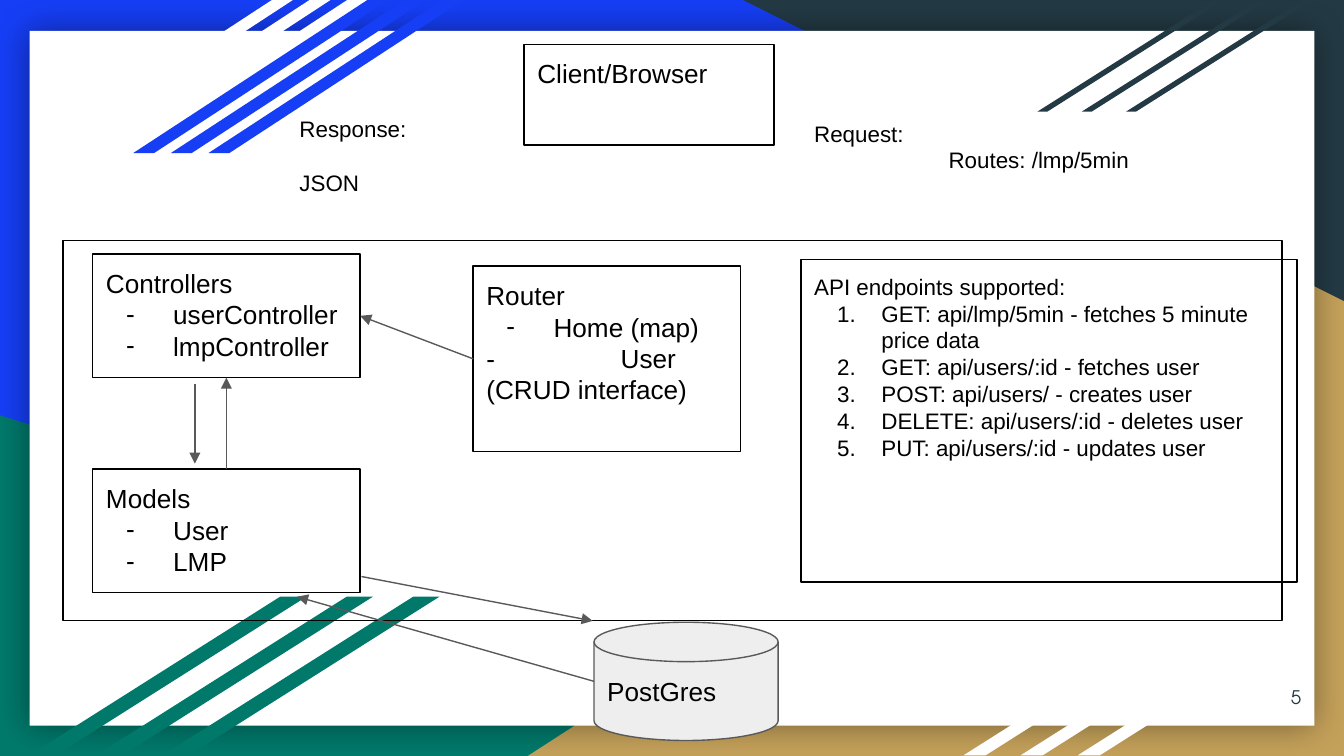
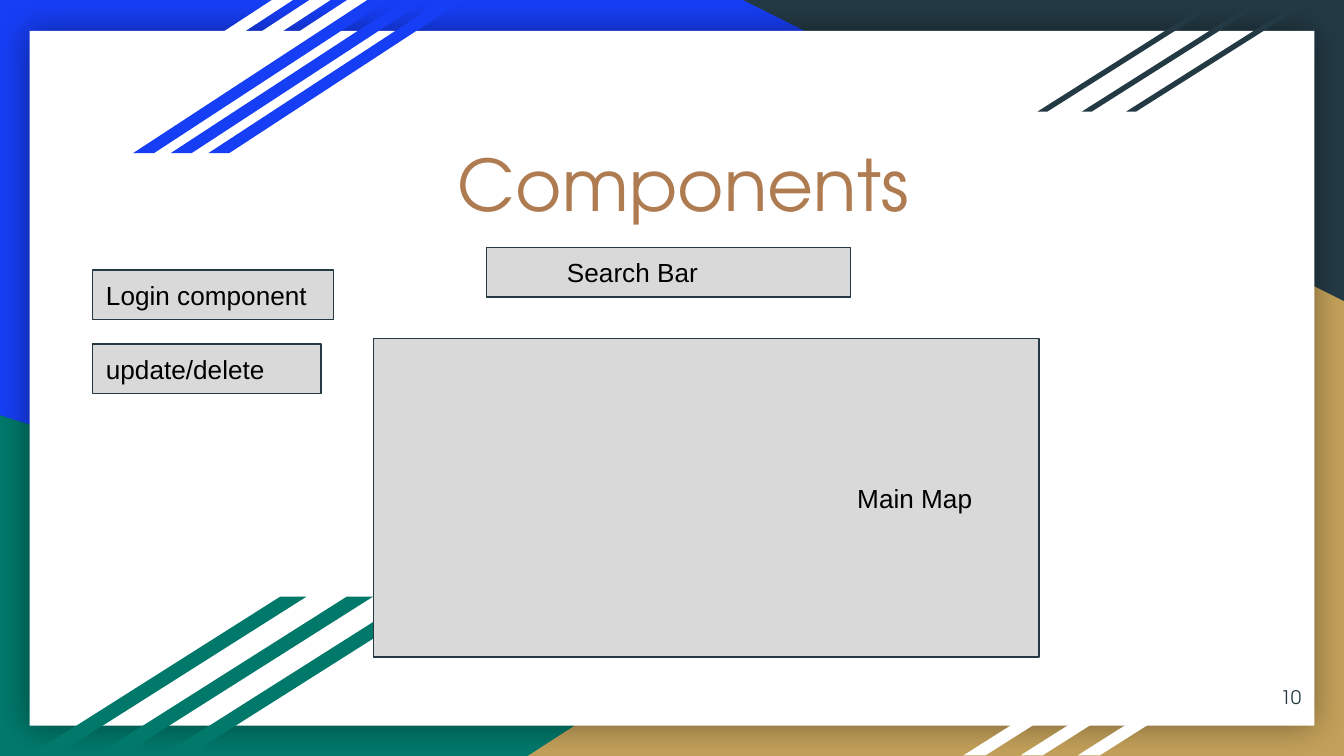
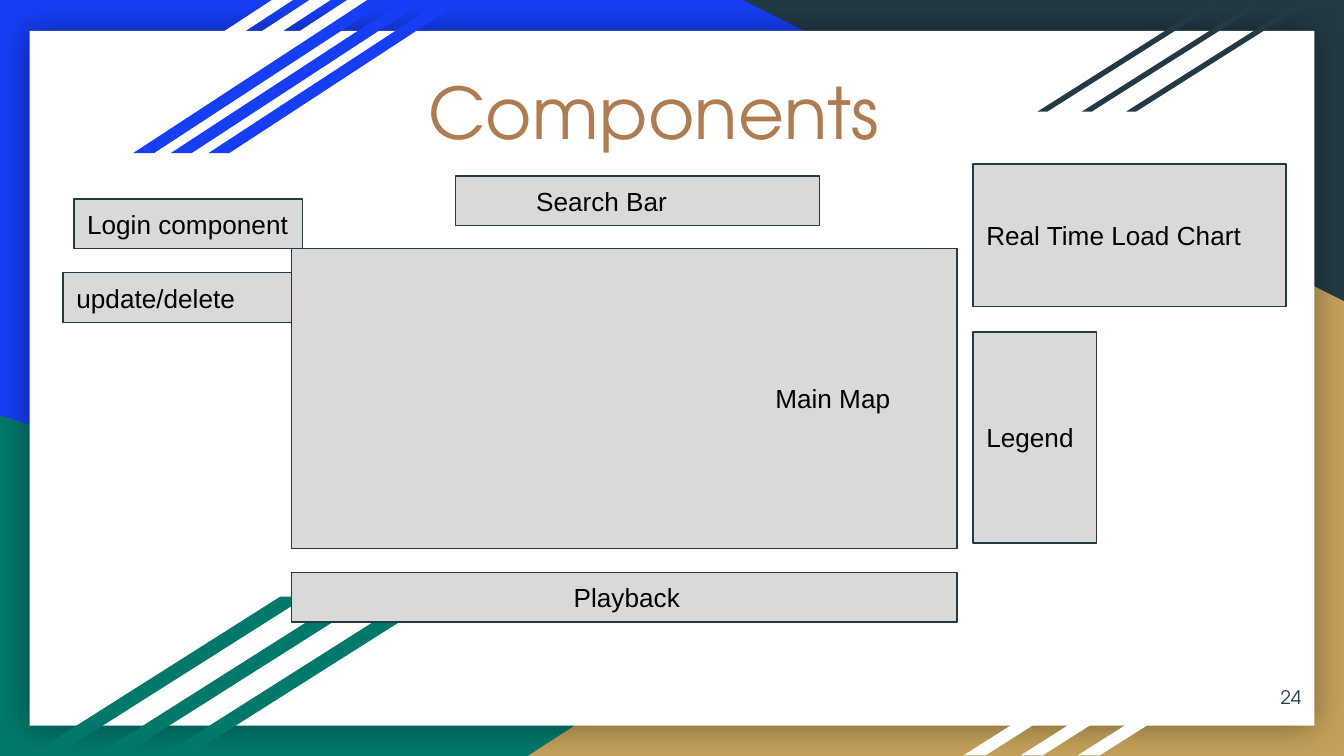
from lxml.etree import SubElement
from pptx import Presentation
from pptx.dml.color import RGBColor
from pptx.enum.shapes import MSO_CONNECTOR, MSO_SHAPE
from pptx.enum.text import MSO_ANCHOR, PP_ALIGN
from pptx.oxml.ns import qn
from pptx.util import Inches, Pt

COLORS = {
    "blue": "163EF5",
    "green": "00796B",
    "gold": "C4A15A",
    "slate": "233A44",
    "white": "FFFFFF",
    "black": "000000",
    "copper": "AF7B51",
    "panel": "D9D9D9",
    "disk": "EEEEEE",
    "gray": "595959",
}
BODY_FONT = "Arial"
TITLE_FONT = "TeX Gyre Adventor"


def draw_shape(page, kind, spot, fill=None, line=None):
    shape = page.shapes.add_shape(kind, *[Inches(value) for value in spot])
    shape.shadow.inherit = False
    if fill:
        shape.fill.solid()
        shape.fill.fore_color.rgb = RGBColor.from_string(COLORS[fill])
    else:
        shape.fill.background()
    if line:
        shape.line.color.rgb = RGBColor.from_string(COLORS[line])
        shape.line.width = Pt(0.75)
    else:
        shape.line.fill.background()
    return shape


def write(box, lines, size=14, color="black", font=BODY_FONT,
          align=PP_ALIGN.LEFT, anchor=MSO_ANCHOR.MIDDLE, left=0, first=0):
    frame = box.text_frame
    frame.word_wrap = True
    frame.vertical_anchor = anchor
    frame.margin_left = frame.margin_right = Inches(0.1)
    frame.margin_top = frame.margin_bottom = Inches(0.1)
    for index, line in enumerate(lines):
        text, bullet = line if isinstance(line, tuple) else (line, None)
        para = frame.paragraphs[0] if index == 0 else frame.add_paragraph()
        para.text = text
        para.alignment = align
        para.font.size = Pt(size)
        para.font.name = font
        para.font.color.rgb = RGBColor.from_string(COLORS[color])
        settings = para._p.get_or_add_pPr()
        settings.set("defTabSz", str(Inches(1)))
        settings.set("marL", str(Inches(0.5 if bullet else left)))
        hanging = -0.33 if bullet == "1." else -0.35
        settings.set("indent", str(Inches(hanging if bullet else first)))
        if bullet:
            tint = SubElement(settings, qn("a:buClr"))
            SubElement(tint, qn("a:srgbClr"), val=COLORS["black"])
            SubElement(settings, qn("a:buFont"), typeface=BODY_FONT)
            if bullet == "1.":
                SubElement(settings, qn("a:buAutoNum"), type="arabicPeriod")
            else:
                SubElement(settings, qn("a:buChar"), char=bullet)
            settings.append(settings.find(qn("a:defRPr")))


deck = Presentation()
deck.slide_width = Inches(10)
deck.slide_height = deck.slide_width * 9 // 16
layout = deck.slide_layouts[6]
pages = [deck.slides.add_slide(layout) for _ in range(3)]
architecture, basic, full = pages

layout.background.fill.solid()
layout.background.fill.fore_color.rgb = RGBColor.from_string(COLORS["blue"])
triangle = MSO_SHAPE.RIGHT_TRIANGLE
draw_shape(architecture, triangle, (0, 3.09, 8.06, 2.54), "green")
gold_corner = draw_shape(architecture, triangle, (3.92, 1.7, 6.08, 3.93), "gold")
gold_corner.element.spPr.find(qn("a:xfrm")).set("flipH", "1")
slate_corner = draw_shape(architecture, triangle, (5.53, 0, 4.47, 2.24), "slate")
slate_corner.rotation = 180

sheet = draw_shape(architecture, MSO_SHAPE.RECTANGLE, (0.22, 0.23, 9.56, 5.17), "white")
effects = sheet.element.spPr.find(qn("a:effectLst"))
glow = SubElement(effects, qn("a:outerShdw"), blurRad=str(Pt(18)), dist="0",
                  dir="0", algn="ctr", rotWithShape="0")
shade = SubElement(glow, qn("a:srgbClr"), val=COLORS["black"])
SubElement(shade, qn("a:alpha"), val="40000")

for left, top, width, height, spread, slant, color in [
    (0.28, 0, 1.9, 1.14, 0.56, 1.53, "white"),
    (0.99, 0, 1.9, 1.14, 0.56, 1.53, "blue"),
    (7.72, 0.01, 1.37, 0.82, 0.66, 1.58, "slate"),
    (7.17, 4.61, 1.76, 1.01, 0.85, 1.58, "white"),
    (0.22, 4.44, 2.06, 1.18, 0.99, 1.58, "green"),
]:
    for number in (2, 1, 0):
        stripe = draw_shape(architecture, MSO_SHAPE.PARALLELOGRAM,
                            (left + number * spread / 2, top, width, height), color)
        stripe.adjustments[0] = slant

for shape in list(architecture.shapes):
    layout.shapes.element.append(shape.element)

for page, number in zip(pages, ("5", "10", "24")):
    box = page.shapes.add_textbox(Inches(9.18), Inches(4.97), Inches(0.6), Inches(0.43))
    write(box, [number], 10, "slate", TITLE_FONT, PP_ALIGN.RIGHT)

for text, spot in [
    (["Request:", "\tRoutes: /lmp/5min"], (5.96, 0.79, 2.77, 0.69)),
    (["Response:", "\tJSON"], (2.13, 0.76, 1.45, 0.75)),
]:
    box = architecture.shapes.add_textbox(*[Inches(value) for value in spot])
    write(box, text, 12, anchor=MSO_ANCHOR.TOP)

draw_shape(architecture, MSO_SHAPE.RECTANGLE, (0.47, 1.79, 9.07, 2.83), line="black")
endpoints = [
    "GET: api/lmp/5min - fetches 5 minute price data",
    "GET: api/users/:id - fetches user",
    "POST: api/users/ - creates user",
    "DELETE: api/users/:id - deletes user",
    "PUT: api/users/:id - updates user",
]
parts = {}
for name, spot, size, details in [
    ("Client/Browser", (3.9, 0.33, 1.86, 0.75), 14, []),
    ("Models", (0.69, 3.49, 1.99, 0.92), 14, [("User", "-"), ("LMP", "-")]),
    ("API endpoints supported:", (5.96, 1.93, 3.69, 2.4), 12,
     [(endpoint, "1.") for endpoint in endpoints]),
    ("Controllers", (0.69, 1.89, 1.99, 0.92), 14,
     [("userController", "-"), ("lmpController", "-")]),
    ("Router", (3.52, 1.98, 1.99, 1.38), 14,
     [("Home (map)", "-"), "-\tUser (CRUD interface)"]),
]:
    parts[name] = draw_shape(architecture, MSO_SHAPE.RECTANGLE, spot, line="black")
    write(parts[name], [name] + details, size, anchor=MSO_ANCHOR.TOP)

database = draw_shape(architecture, MSO_SHAPE.FLOWCHART_MAGNETIC_DISK,
                      (4.42, 4.63, 1.37, 0.88), "disk", "gray")
write(database, ["PostGres"])

for ends, source, target in [
    ((2.69, 4.29, 4.41, 4.62), None, None),
    ((4.42, 5.07, 2.21, 4.44), None, None),
    ((3.52, 2.67, 2.68, 2.35), ("Router", 1), ("Controllers", 3)),
    ((1.45, 2.86, 1.45, 3.45), None, None),
    ((1.69, 3.49, 1.69, 2.81), ("Models", 0), ("Controllers", 2)),
]:
    arrow = architecture.shapes.add_connector(
        MSO_CONNECTOR.STRAIGHT, *[Inches(value) for value in ends])
    if source:
        arrow.begin_connect(parts[source[0]], source[1])
        arrow.end_connect(parts[target[0]], target[1])
    arrow.line.color.rgb = RGBColor.from_string(COLORS["gray"])
    arrow.line.width = Pt(0.75)
    SubElement(arrow.line._get_or_add_ln(), qn("a:tailEnd"), type="triangle")
    SubElement(arrow.element.spPr, qn("a:effectLst"))

for page, left, top in [(basic, 2.29, 0.88), (full, 2.07, 0.35)]:
    title = page.shapes.add_textbox(Inches(left), Inches(top), Inches(5.59), Inches(0.96))
    write(title, ["Components"], 38, "copper", TITLE_FONT, PP_ALIGN.CENTER)

for page, name, spot, left, first in [
    (basic, "Search Bar", (3.62, 1.84, 2.71, 0.37), 0, 0.5),
    (basic, "Main Map", (2.78, 2.52, 4.95, 2.37), 3.5, 0),
    (basic, "Login component", (0.69, 2.01, 1.79, 0.37), 0, 0),
    (basic, "update/delete", (0.69, 2.56, 1.7, 0.37), 0, 0),
    (full, "Search Bar", (3.39, 1.31, 2.71, 0.37), 0, 0.5),
    (full, "Playback", (2.17, 4.26, 4.95, 0.37), 1.5, 0.5),
    (full, "Main Map", (2.17, 1.85, 4.95, 2.23), 3.5, 0),
    (full, "Real Time Load Chart", (7.24, 1.22, 2.33, 1.06), 0, 0),
    (full, "Legend", (7.24, 2.47, 0.92, 1.57), 0, 0),
    (full, "Login component", (0.55, 1.48, 1.7, 0.37), 0, 0),
    (full, "update/delete", (0.47, 2.03, 1.7, 0.37), 0, 0),
]:
    component = draw_shape(page, MSO_SHAPE.RECTANGLE, spot, "panel", "slate")
    write(component, [name], left=left, first=first)

deck.save("out.pptx")
